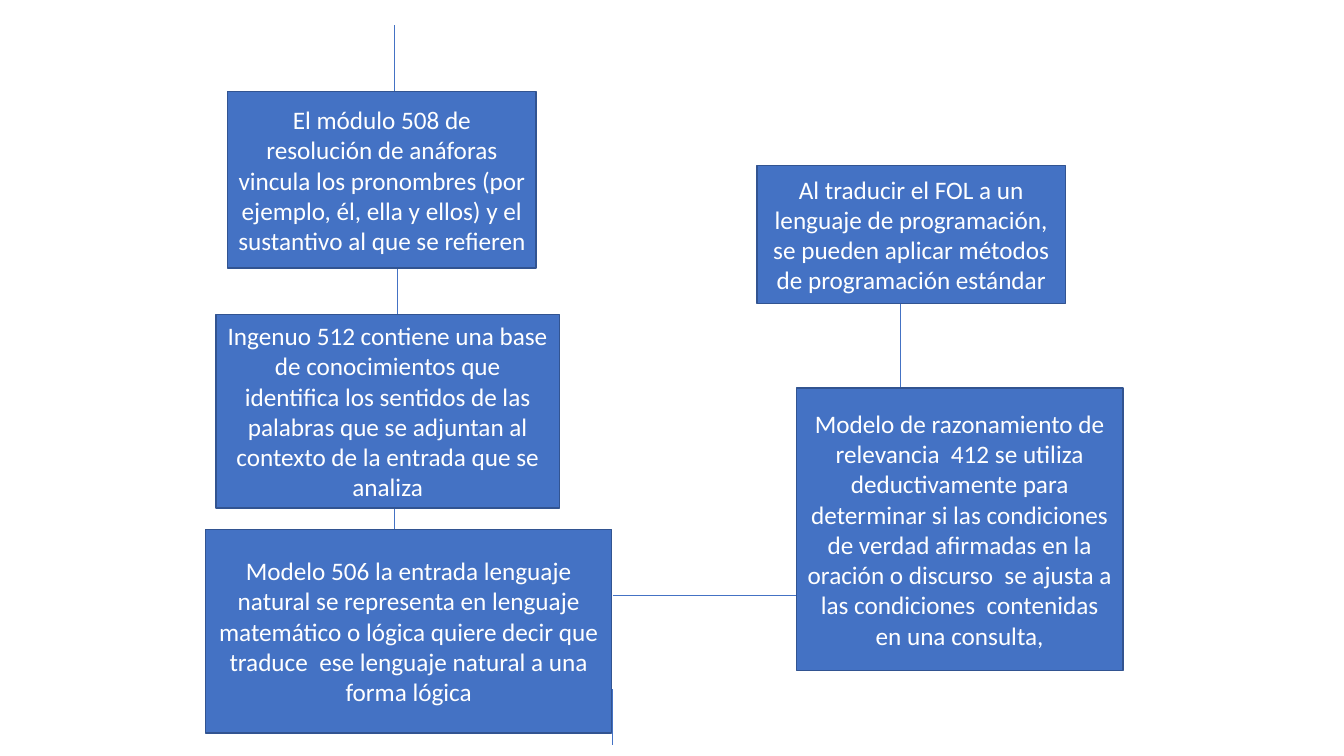
from lxml import etree
from pptx import Presentation
from pptx.dml.color import RGBColor
from pptx.enum.shapes import MSO_CONNECTOR, MSO_SHAPE
from pptx.enum.text import MSO_ANCHOR, PP_ALIGN
from pptx.oxml.ns import qn
from pptx.util import Cm, Pt

BLUE = RGBColor(0x44, 0x72, 0xC4)
DARK_BLUE = RGBColor(0x32, 0x54, 0x91)
WHITE = RGBColor(0xFF, 0xFF, 0xFF)


class FlowSlide:
    """Style and current slide; all lengths are in centimetres."""

    font = "Calibri"
    size = Pt(18)

    def __init__(self, presentation):
        self.slide = presentation.slides.add_slide(presentation.slide_layouts[6])

    def line(self, x1, y1, x2, y2):
        connector = self.slide.shapes.add_connector(
            MSO_CONNECTOR.STRAIGHT, Cm(x1), Cm(y1), Cm(x2), Cm(y2))
        connector.line.color.rgb = BLUE
        connector.line.width = Pt(0.5)
        etree.SubElement(connector._element.spPr, qn("a:effectLst"))

    def box(self, left, top, width, height, text):
        shape = self.slide.shapes.add_shape(
            MSO_SHAPE.RECTANGLE, Cm(left), Cm(top), Cm(width), Cm(height))
        shape.shadow.inherit = False
        shape.fill.solid()
        shape.fill.fore_color.rgb = BLUE
        shape.line.color.rgb = DARK_BLUE
        shape.line.width = Pt(1)
        frame = shape.text_frame
        frame.word_wrap = True
        frame.vertical_anchor = MSO_ANCHOR.MIDDLE
        paragraph = frame.paragraphs[0]
        paragraph.alignment = PP_ALIGN.CENTER
        run = paragraph.add_run()
        run.text = text
        run.font.name = self.font
        run.font.size = self.size
        run.font.color.rgb = WHITE


presentation = Presentation()
presentation.slide_width = Cm(33.87)
presentation.slide_height = Cm(19.05)
flow = FlowSlide(presentation)

# Connecting lines
CONNECTORS = [
    (9.93, 2.31, 9.93, 0.64),      # into the anaphora module
    (10.01, 6.76, 10.01, 7.92),    # anaphora to knowledge base
    (9.93, 12.8, 9.93, 13.34),     # knowledge base to logical form
    (15.44, 14.99, 20.07, 14.99),  # logical form to relevance
    (15.44, 17.37, 15.44, 18.77),  # out of the logical form
    (22.68, 7.65, 22.68, 9.78),    # programming language to relevance
]
for ends in CONNECTORS:
    flow.line(*ends)

# Left column: from anaphora to logical form
flow.box(5.74, 2.31, 7.77, 4.45,
         "El módulo 508 de resolución de anáforas vincula los pronombres "
         "(por ejemplo, él, ella y ellos) y el sustantivo al que se refieren")
flow.box(5.44, 7.92, 8.66, 4.88,
         "Ingenuo 512 contiene una base de conocimientos que identifica los "
         "sentidos de las palabras que se adjuntan al contexto de la entrada "
         "que se analiza")
flow.box(5.18, 13.34, 10.24, 5.13,
         "Modelo 506 la entrada lenguaje natural se representa en lenguaje "
         "matemático o lógica quiere decir que traduce  ese lenguaje natural "
         "a una forma lógica")

# Right column: programming language and relevance reasoning
flow.box(19.08, 4.17, 7.77, 3.48,
         "Al traducir el FOL a un lenguaje de programación, se pueden aplicar "
         "métodos de programación estándar")
flow.box(20.07, 9.78, 8.23, 7.11,
         "Modelo de razonamiento de relevancia  412 se utiliza deductivamente "
         "para determinar si las condiciones de verdad afirmadas en la oración "
         "o discurso  se ajusta a las condiciones  contenidas en una consulta,")

presentation.save("out.pptx")
